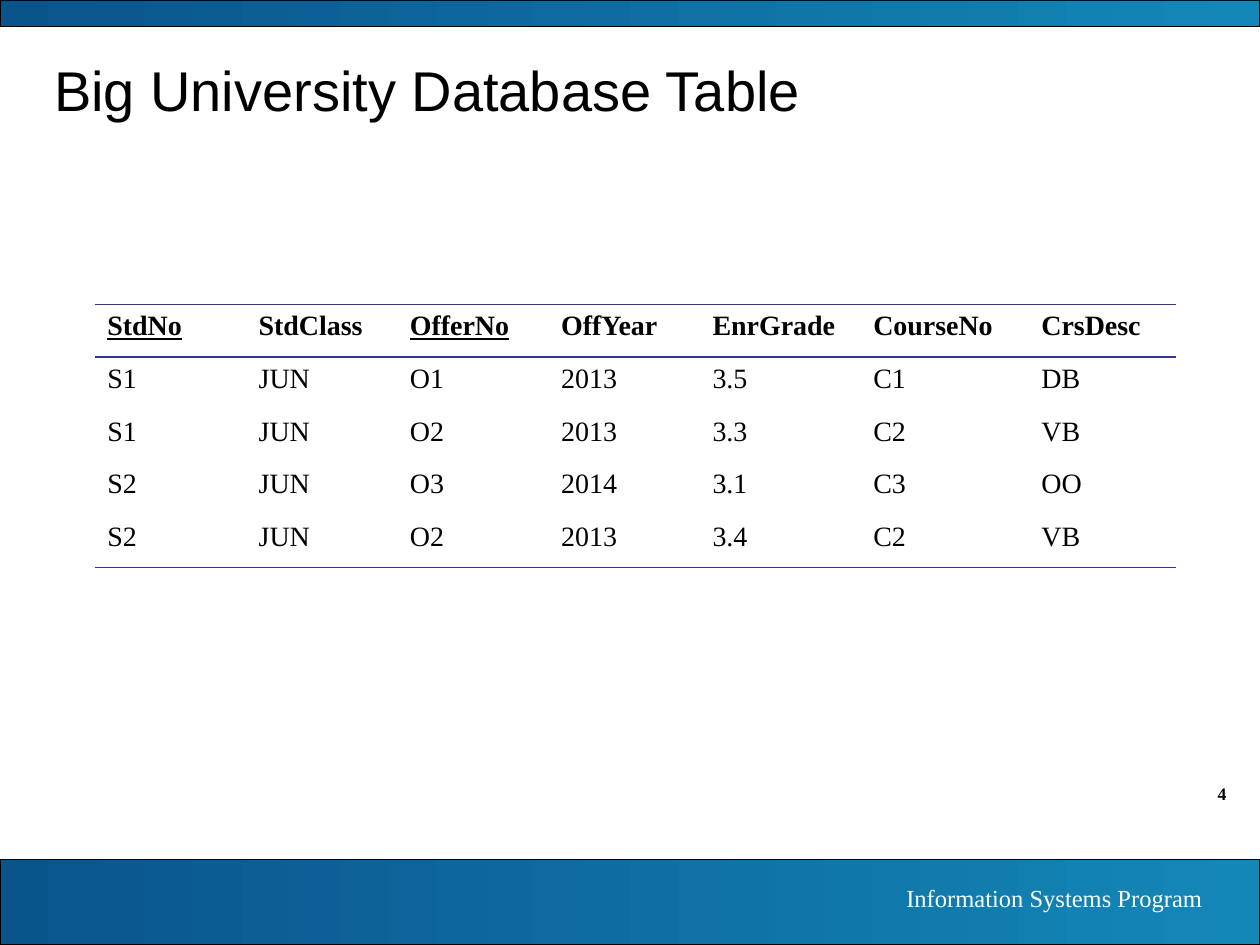
"""Build the Big University database table slide."""
from dataclasses import dataclass

from lxml.etree import SubElement
from pptx import Presentation
from pptx.dml.color import RGBColor
from pptx.enum.shapes import MSO_SHAPE
from pptx.enum.text import MSO_ANCHOR, PP_ALIGN
from pptx.oxml.ns import qn
from pptx.util import Cm, Pt


@dataclass(frozen=True)
class Theme:
    black: str = "000000"
    white: str = "FFFFFF"
    rule: str = "333399"
    band_start: str = "0A548C"
    band_end: str = "1387B8"
    sans: str = "Arial"
    serif: str = "Times New Roman"
    title: int = 32
    body: int = 16
    footer: int = 14
    number: int = 10


theme = Theme()


def write(tf, text, color, align=PP_ALIGN.LEFT, **formats):
    p = tf.paragraphs[0]
    p.alignment = align
    r = p.add_run()
    r.text = text
    r.font.color.rgb = RGBColor.from_string(color)
    for name, value in formats.items():
        setattr(r.font, name, value)


def set_border(tc_pr, side, ruled):
    ln = SubElement(tc_pr, qn(f"a:{side}"), w=str(Pt(1)))
    if ruled:
        fill = SubElement(ln, qn("a:solidFill"))
        SubElement(fill, qn("a:srgbClr"), val=theme.rule)
    else:
        SubElement(ln, qn("a:noFill"))


prs = Presentation()
prs.slide_width, prs.slide_height = Cm(25.4), Cm(19.05)
s = prs.slides.add_slide(prs.slide_layouts[6])

for top, height in ((17.33, 1.72), (0, 0.53)):
    sp = s.shapes.add_shape(MSO_SHAPE.RECTANGLE, 0, Cm(top), prs.slide_width, Cm(height))
    sp.shadow.inherit = False
    sp.fill.gradient()
    sp.fill.gradient_angle = 0
    for stop, color in zip(sp.fill.gradient_stops, (theme.band_start, theme.band_end)):
        stop.color.rgb = RGBColor.from_string(color)
    sp.line.color.rgb = RGBColor.from_string(theme.black)
    sp.line.width = Pt(0.75)

texts = (
    ("4", (22.86, 15.67, 2.11, 0.69), theme.black, PP_ALIGN.RIGHT, MSO_ANCHOR.TOP,
     {"name": theme.serif, "size": Pt(theme.number), "bold": True}),
    ("Information Systems Program", (14.1, 17.68, 10.39, 0.86), theme.white,
     PP_ALIGN.RIGHT, MSO_ANCHOR.TOP,
     {"name": theme.serif, "size": Pt(theme.footer)}),
    ("Big University Database Table", (0.84, 0.84, 23.29, 1.9), theme.black,
     PP_ALIGN.LEFT, MSO_ANCHOR.MIDDLE,
     {"name": theme.sans, "size": Pt(theme.title)}),
)
for text, box, color, align, anchor, formats in texts:
    tf = s.shapes.add_textbox(*map(Cm, box)).text_frame
    tf.word_wrap = True
    tf.vertical_anchor = anchor
    write(tf, text, color, align, **formats)

rows = (
    ("StdNo", "StdClass", "OfferNo", "OffYear", "EnrGrade", "CourseNo", "CrsDesc"),
    ("S1", "JUN", "O1", "2013", "3.5", "C1", "DB"),
    ("S1", "JUN", "O2", "2013", "3.3", "C2", "VB"),
    ("S2", "JUN", "O3", "2014", "3.1", "C3", "OO"),
    ("S2", "JUN", "O2", "2013", "3.4", "C2", "VB"),
)
key_columns = ("StdNo", "OfferNo")
widths = (3.05, 3.05, 3.05, 3.05, 3.24, 3.39, 2.96)
row_height = 1.06
last = len(rows) - 1

table = s.shapes.add_table(
    len(rows), len(widths), Cm(1.91), Cm(6.14),
    Cm(sum(widths)), Cm(row_height * len(rows)),
).table
for name, value in {"first_row": False, "horz_banding": False}.items():
    setattr(table, name, value)
for column, width in zip(table.columns, widths):
    column.width = Cm(width)

for i, values in enumerate(rows):
    table.rows[i].height = Cm(row_height)
    borders = {"lnL": False, "lnR": False, "lnT": i in (0, 1), "lnB": i in (0, last)}
    for j, value in enumerate(values):
        cell = table.cell(i, j)
        tc_pr = cell._tc.get_or_add_tcPr()
        for side, ruled in borders.items():
            set_border(tc_pr, side, ruled)
        cell.fill.background()
        write(cell.text_frame, value, theme.black, name=theme.serif,
              size=Pt(theme.body), bold=i == 0, underline=value in key_columns)

prs.save("out.pptx")
